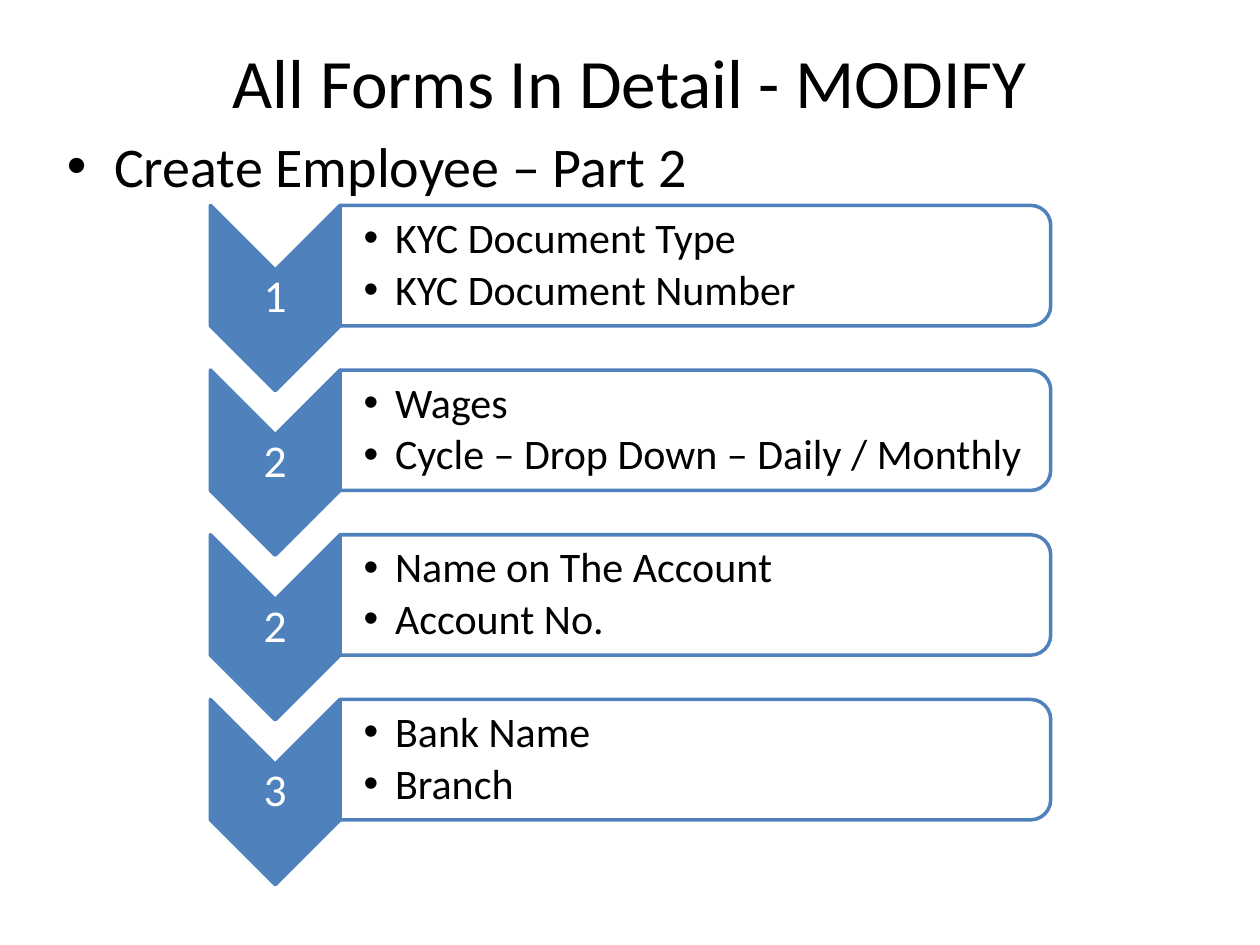
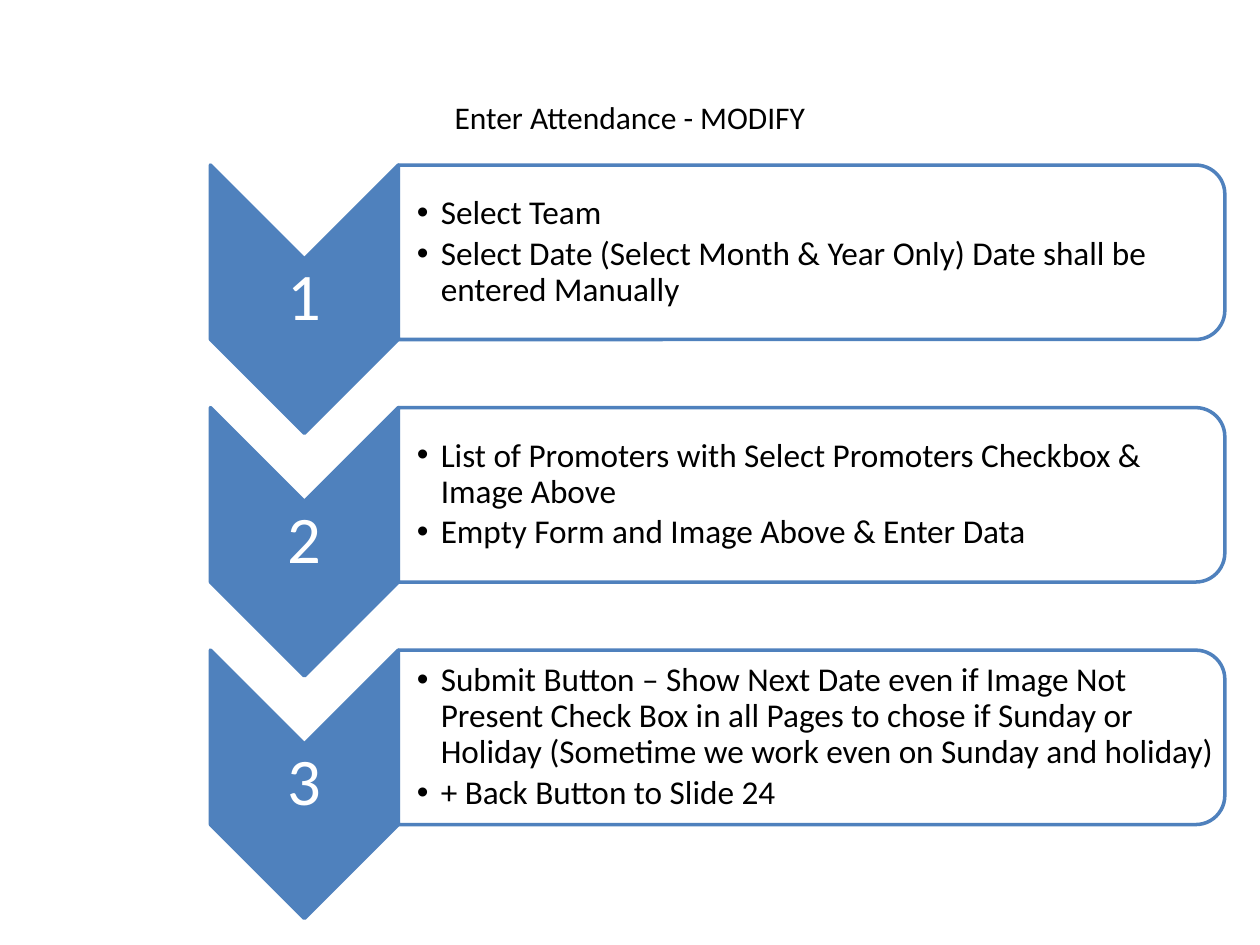
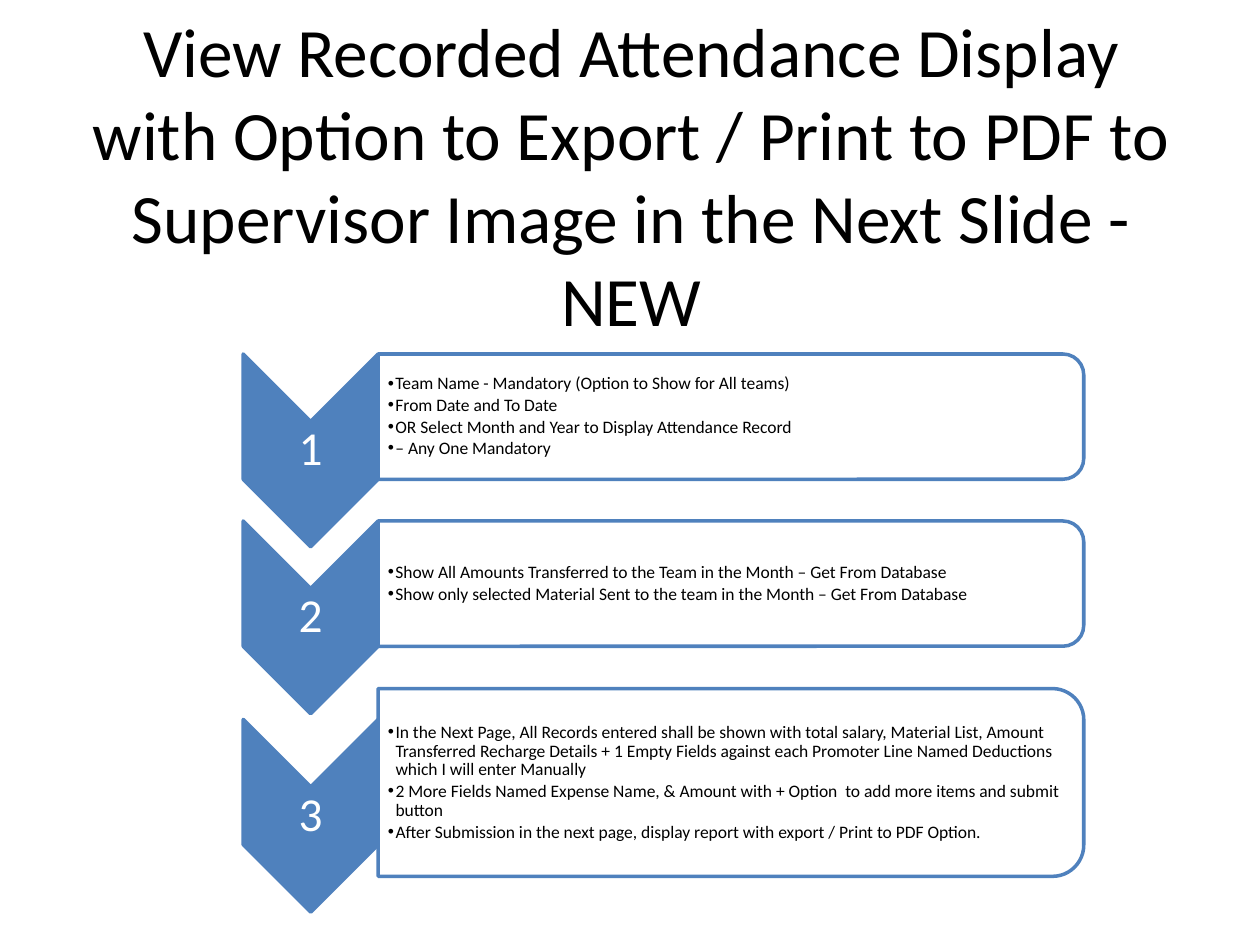
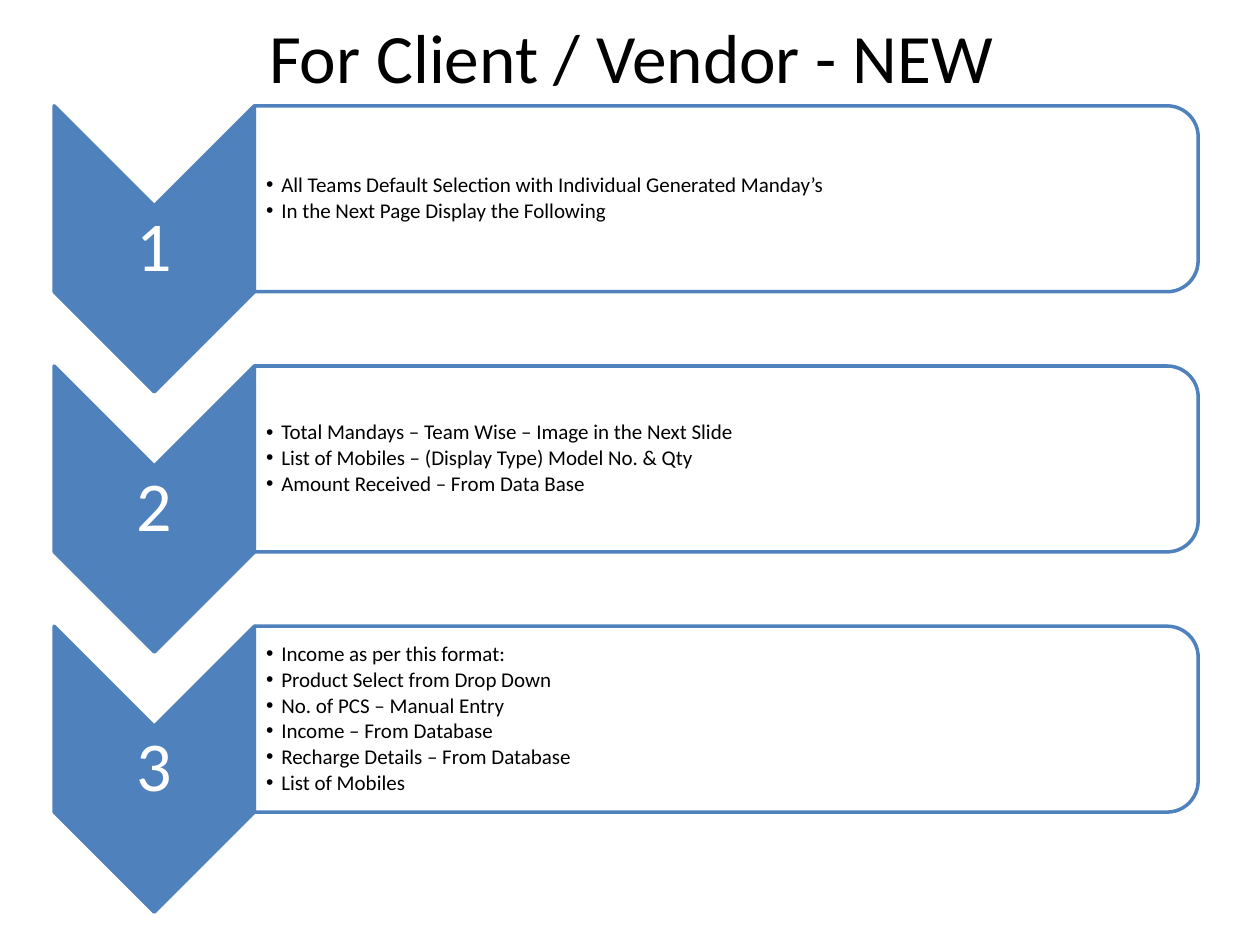
"""Four slides of numbered chevron lists about attendance forms."""
from lxml import etree
from pptx import Presentation
from pptx import util as u
from pptx.dml.color import RGBColor
from pptx.enum import shapes, text
from pptx.oxml import ns

COLORS = {"accent": "4F81BD", "paper": "FFFFFF", "ink": "000000"}
FONT = "Calibri"
COLUMNS, ROWS = 100, 75
CELL = u.Inches(10) // COLUMNS
CHEVRON_RATIO = 0.7
BOX_RATIO = 0.65
CORNER_INSET = 0.049


def cells(n):
    """Turn a number of grid cells into a length."""
    return u.Emu(int(round(n * CELL)))


def rgb(name):
    """Look up a colour by its role."""
    return RGBColor.from_string(COLORS[name])


def place(shape, left, top, width, height):
    """Put a shape at a place given in grid cells."""
    shape.left, shape.top = cells(left), cells(top)
    shape.width, shape.height = cells(width), cells(height)


def style(p, size, color="ink"):
    """Format the runs of a paragraph."""
    for r in p.runs:
        r.font.name = FONT
        r.font.size = u.Pt(size)
        r.font.color.rgb = rgb(color)


def add_title(s, title, box, size=39.6):
    """Fill and move the title placeholder."""
    sp = s.shapes.title
    place(sp, *box)
    tf = sp.text_frame
    tf.text = title
    tf.auto_size = text.MSO_AUTO_SIZE.NONE
    tf.vertical_anchor = text.MSO_ANCHOR.MIDDLE
    tf.paragraphs[0].alignment = text.PP_ALIGN.CENTER
    style(tf.paragraphs[0], size)


def add_body(s, line, box):
    """Fill and move the body placeholder."""
    sp = s.placeholders[1]
    place(sp, *box)
    tf = sp.text_frame
    tf.text = line
    tf.auto_size = text.MSO_AUTO_SIZE.NONE
    tf.paragraphs[0].space_before = u.Pt(0)
    style(tf.paragraphs[0], 32)


def add_turned(s, kind, left, top, width, height, fill):
    """Add a preset shape turned a quarter so that it covers the given box."""
    sp = s.shapes.add_shape(kind, 0, 0, 0, 0)
    place(sp, left + (width - height) / 2, top + (height - width) / 2, height, width)
    sp.rotation = 90
    sp.shadow.inherit = False
    sp.fill.solid()
    sp.fill.fore_color.rgb = rgb(fill)
    sp.line.color.rgb = rgb("accent")
    sp.line.width = u.Pt(2)
    return sp


def add_text(s, lines, box, size, color, margins, after):
    """Add a middle-anchored text box and return its paragraphs."""
    sp = s.shapes.add_textbox(0, 0, 0, 0)
    place(sp, *box)
    tf = sp.text_frame
    tf.word_wrap = True
    tf.vertical_anchor = text.MSO_ANCHOR.MIDDLE
    tf.margin_left, tf.margin_right = margins
    tf.margin_top = tf.margin_bottom = margins[1]
    tf.text = "\n".join(lines)
    for p in tf.paragraphs:
        p.line_spacing = 0.9
        p.space_after = u.Pt(size * after)
        style(p, size, color)
    return tf.paragraphs


def add_chevron(s, number, left, top, height, size):
    """Add a downward chevron with its number."""
    width = height * CHEVRON_RATIO
    add_turned(s, shapes.MSO_SHAPE.CHEVRON, left, top, width, height, "accent")
    margin = cells(width * 0.02)
    box = (left, top + width / 2, width, height - width)
    for p in add_text(s, [number], box, size, "paper", (margin, margin), 0.35):
        p.alignment = text.PP_ALIGN.CENTER


def add_list_box(s, lines, left, top, width, height, size, indent):
    """Add a box rounded on the right with a bulleted list in it."""
    sp = add_turned(s, shapes.MSO_SHAPE.ROUND_2_SAME_RECTANGLE,
                    left, top, width, height, "paper")
    color = sp.fill._xPr.find(".//" + ns.qn("a:srgbClr"))
    etree.SubElement(color, ns.qn("a:alpha")).set("val", "90000")
    inset = height * CORNER_INSET
    box = (left, top + inset, width - inset, height - 2 * inset)
    margins = (u.Pt(size * 0.56), u.Pt(size * 0.05))
    for p in add_text(s, lines, box, size, "ink", margins, 0.15):
        pPr = p._p.get_or_add_pPr()
        pPr.set("marL", str(cells(indent)))
        pPr.set("indent", str(-cells(indent)))
        etree.SubElement(pPr, ns.qn("a:buFont")).set("typeface", "Arial")
        etree.SubElement(pPr, ns.qn("a:buChar")).set("char", "•")


def add_chevron_list(s, steps, left, top, width, height, pitch, sizes, indent, last=None):
    """Stack numbered steps; last may give other tops and height for the final one."""
    number_size, list_size = sizes
    box_left = left + height * CHEVRON_RATIO
    for i, (number, lines) in enumerate(steps):
        chevron_top = box_top = top + i * pitch
        box_height = height * BOX_RATIO
        if last and i == len(steps) - 1:
            chevron_top, box_top, box_height = last
        add_chevron(s, number, left, chevron_top, height, number_size)
        add_list_box(s, lines, box_left, box_top, width, box_height, list_size, indent)


def build_employee(prs):
    """Build the employee form slide."""
    s = prs.slides.add_slide(prs.slide_layouts[1])
    add_title(s, "All Forms In Detail - MODIFY", (5, 3, 90, 6.9))
    add_body(s, "Create Employee – Part 2", (4.3, 9.9, 90, 49.5))
    steps = [
        ("1", ["KYC Document Type", "KYC Document Number"]),
        ("2", ["Wages", "Cycle – Drop Down – Daily / Monthly"]),
        ("2", ["Name on The Account", "Account No."]),
        ("3", ["Bank Name", "Branch"]),
    ]
    add_chevron_list(s, steps, 16.7, 16.3, 56.4, 14.7, 13.07, (26, 24), 2.5)


def build_attendance(prs):
    """Build the attendance entry slide."""
    s = prs.slides.add_slide(prs.slide_layouts[5])
    add_title(s, "Enter Attendance - MODIFY", (5, 3, 90, 12.5), 18)
    steps = [
        ("1", ["Select Team",
               "Select Date (Select Month & Year Only) Date shall be entered Manually"]),
        ("2", ["List of Promoters with Select Promoters Checkbox & Image Above",
               "Empty Form and Image Above & Enter Data"]),
        ("3", ["Submit Button – Show Next Date even if Image Not Present Check Box in all "
               "Pages to chose if Sunday or Holiday (Sometime we work even on Sunday and "
               "holiday)",
               "+ Back Button to Slide 24"]),
    ]
    add_chevron_list(s, steps, 16.7, 13.1, 65.6, 21.3, 19.25, (38, 19), 1.9)


def build_report(prs):
    """Build the recorded attendance slide."""
    s = prs.slides.add_slide(prs.slide_layouts[5])
    add_title(s, "View Recorded Attendance Display with Option to Export / Print to PDF to "
              "Supervisor Image in the Next Slide - NEW", (5.1, 7.6, 90, 12.5))
    steps = [
        ("1", ["Team Name - Mandatory (Option to Show for All teams)",
               "From Date and To Date",
               "OR Select Month and Year to Display Attendance Record",
               "– Any One Mandatory"]),
        ("2", ["Show All Amounts Transferred to the Team in the Month – Get From Database",
               "Show only selected Material Sent to the team in the Month – Get From "
               "Database"]),
        ("3", ["In the Next Page, All Records entered shall be shown with total salary, "
               "Material List, Amount Transferred Recharge Details + 1 Empty Fields against "
               "each Promoter Line Named Deductions which I will enter Manually",
               "2 More Fields Named Expense Name, & Amount with + Option  to add more items "
               "and submit button",
               "After Submission in the next page, display report with export / Print to PDF "
               "Option."]),
    ]
    add_chevron_list(s, steps, 19.3, 28.1, 56, 15.3, 13.25, (27, 10), 0.6,
                     last=(57.1, 54.65, 14.9))


def build_client(prs):
    """Build the client and vendor slide."""
    s = prs.slides.add_slide(prs.slide_layouts[5])
    add_title(s, "For Client / Vendor - NEW", (5.1, 2.1, 90, 4.7))
    steps = [
        ("1", ["All Teams Default Selection with Individual Generated Manday’s",
               "In the Next Page Display the Following"]),
        ("2", ["Total Mandays – Team Wise – Image in the Next Slide",
               "List of Mobiles – (Display Type) Model No. & Qty",
               "Amount Received – From Data Base"]),
        ("3", ["Income as per this format:", "Product Select from Drop Down",
               "No. of PCS – Manual Entry", "Income – From Database",
               "Recharge Details – From Database", "List of Mobiles"]),
    ]
    add_chevron_list(s, steps, 4.3, 8.4, 74.9, 22.7, 20.65, (40, 12), 1.2)


def main():
    """Build and save the slides."""
    prs = Presentation()
    prs.slide_width, prs.slide_height = cells(COLUMNS), cells(ROWS)
    for build in (build_employee, build_attendance, build_report, build_client):
        build(prs)
    prs.save("out.pptx")


if __name__ == "__main__":
    main()
